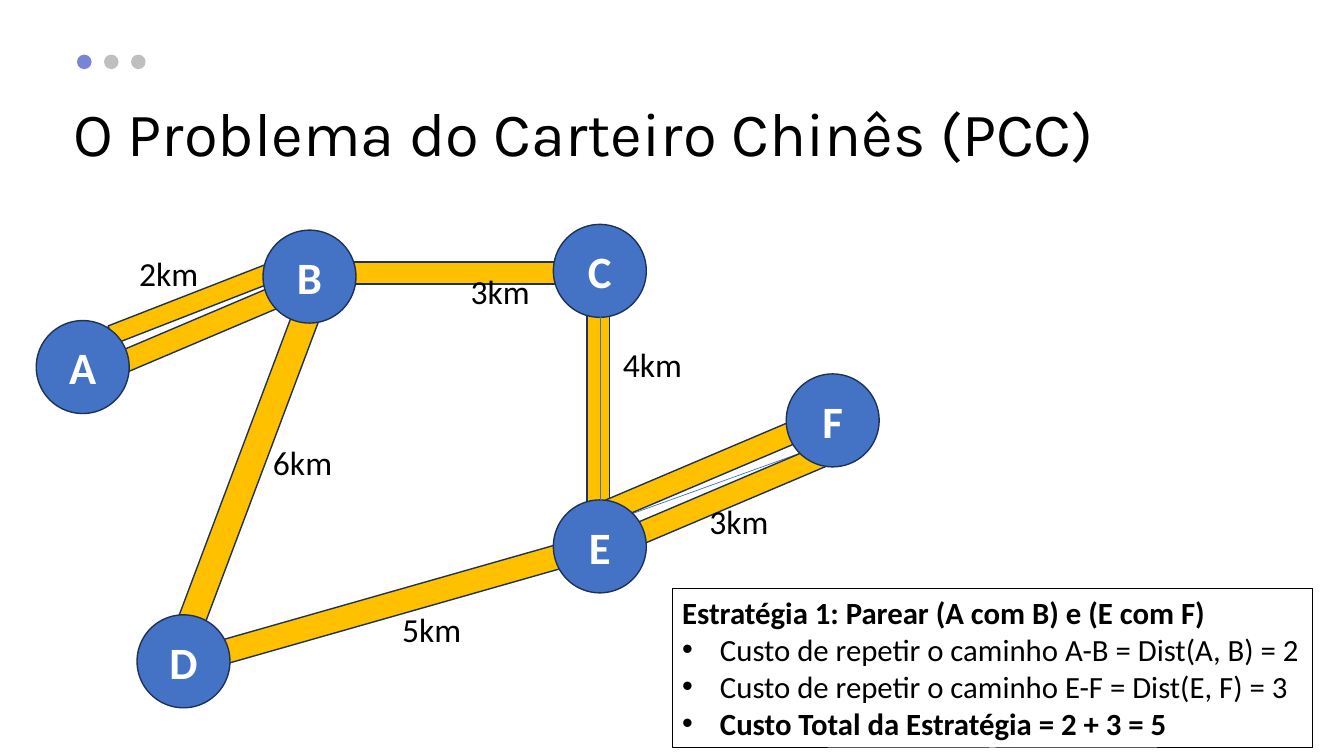
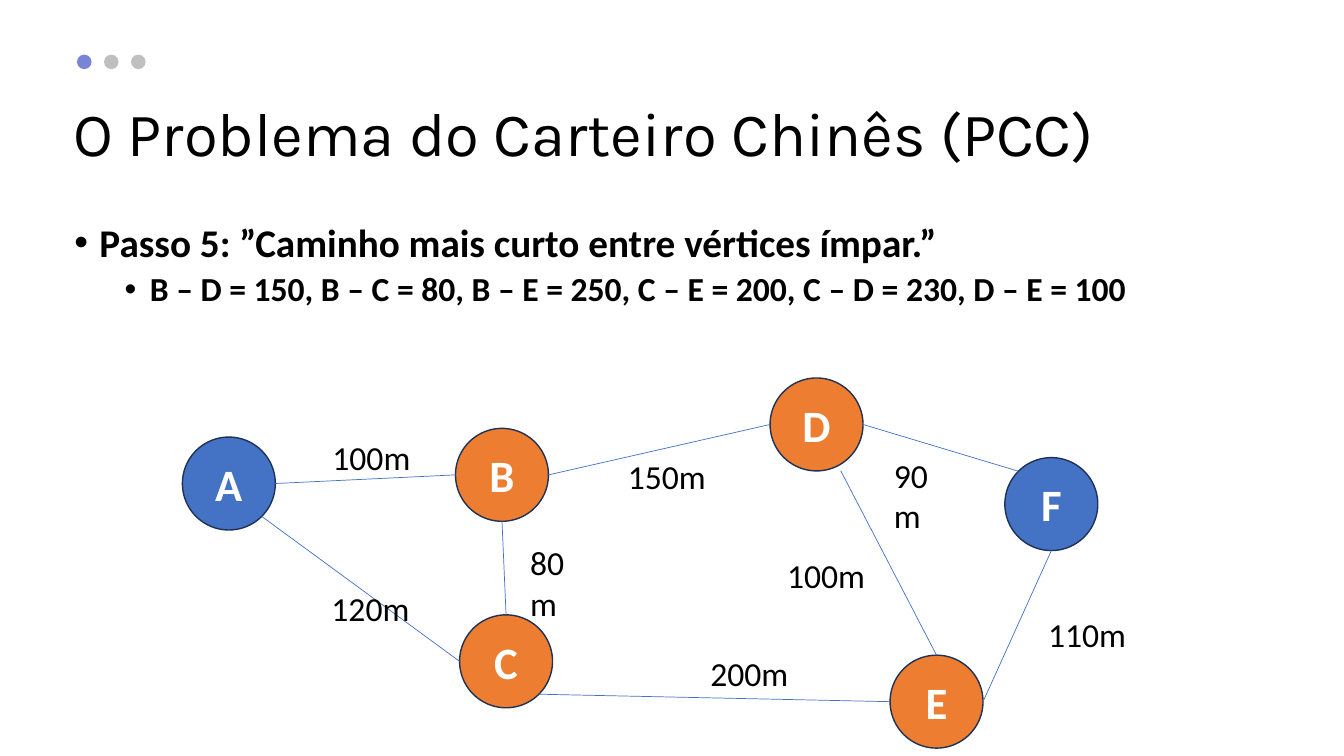
from dataclasses import dataclass
from math import cos, radians, sin

from lxml.etree import SubElement
from pptx import Presentation
from pptx.dml.color import RGBColor as RGB
from pptx.enum.shapes import MSO_CONNECTOR as Conn, MSO_SHAPE as Kind
from pptx.enum.text import MSO_ANCHOR as Anchor, MSO_AUTO_SIZE as Auto, PP_ALIGN as Align
from pptx.oxml.ns import qn
from pptx.util import Pt


@dataclass(frozen=True)
class Theme:
    ink: str = "000000"
    paper: str = "FFFFFF"
    blue: str = "4472C4"
    orange: str = "ED7D31"
    gold: str = "FFC000"
    edge: str = "1E3256"
    accent: str = "7983D7"
    grey: str = "BFBFBF"
    head: str = "Karla"
    text: str = "Calibri"
    title: int = 44
    node: int = 32
    lead: int = 28
    label: int = 24
    note: int = 22


THEME = Theme()
NODE = 66.4
TITLE = "O Problema do Carteiro Chinês (PCC)"


def apply(item, **vals):
    for name, val in vals.items():
        setattr(item, name, val)


def write(para, text, size, color=THEME.ink, face=THEME.text, bold=False, **vals):
    para.text = text
    apply(para, **vals)
    apply(para.font, size=Pt(size), name=face, bold=bold)
    para.font.color.rgb = RGB.from_string(color)


def bullet(para, left, hang):
    props = para._p.get_or_add_pPr()
    props.set("marL", str(Pt(left)))
    props.set("indent", str(-Pt(hang)))
    SubElement(props, qn("a:buFont"), typeface="Arial")
    SubElement(props, qn("a:buChar"), char="•")


def shape(slide, kind, box, fill, line=None, width=1):
    item = slide.shapes.add_shape(kind, *map(Pt, box))
    item.shadow.inherit = False
    item.fill.solid()
    item.fill.fore_color.rgb = RGB.from_string(fill)
    if line:
        item.line.color.rgb = RGB.from_string(line)
        item.line.width = Pt(width)
    else:
        item.line.fill.background()
    return item


def frame(slide, box, **vals):
    """Add a text box and return its text frame."""
    text = slide.shapes.add_textbox(*map(Pt, box)).text_frame
    apply(text, **{"word_wrap": True, **vals})
    return text


def start(deck):
    """Add a slide with the three dots and the title."""
    slide = deck.slides.add_slide(deck.slide_layouts[6])
    for i, color in enumerate((THEME.accent, THEME.grey, THEME.grey)):
        shape(slide, Kind.OVAL, (55 + 19.3 * i, 39, 10.4, 10.4), color)
    text = frame(slide, (45.4, 45.4, 828, 104.4), vertical_anchor=Anchor.MIDDLE)
    write(text.paragraphs[0], TITLE, THEME.title, face=THEME.head, line_spacing=0.9)
    return slide


def node(slide, name, left, top, fill=THEME.blue):
    item = shape(slide, Kind.OVAL, (left, top, NODE, NODE), fill, THEME.edge)
    item.text_frame.vertical_anchor = Anchor.MIDDLE
    write(item.text_frame.paragraphs[0], name, THEME.node, THEME.paper,
          bold=True, alignment=Align.CENTER)
    return item


def dock(item, site):
    """Return a circle's connection site, counted anticlockwise from the top."""
    turn, half = radians(90 + 45 * site), item.width / 2
    return (round(item.left + half + half * cos(turn)),
            round(item.top + half - half * sin(turn)))


def link(slide, tail, out, head, into=None, end=None):
    """Join two circles by site; with end, the line stops loose at that point."""
    stop = tuple(map(Pt, end)) if end else dock(head, into)
    line = slide.shapes.add_connector(Conn.STRAIGHT, *dock(tail, out), *stop)
    line.line.color.rgb = RGB.from_string(THEME.blue)
    line.line.width = Pt(0.5)
    SubElement(line._element.spPr, qn("a:effectLst"))
    joint = line._element.find(".//" + qn("p:cNvCxnSpPr"))
    SubElement(joint, qn("a:stCxn"), id=str(tail.shape_id), idx=str(out))
    if not end:
        SubElement(joint, qn("a:endCxn"), id=str(head.shape_id), idx=str(into))


def road(slide, x, y, turn, long=166.3, thick=15.8):
    """Add a bar centred on x, y and turned by some degrees."""
    box = (x - long / 2, y - thick / 2, long, thick)
    shape(slide, Kind.RECTANGLE, box, THEME.gold, THEME.edge).rotation = turn


def label(slide, text, left, top):
    box = (left, top, 15 + 14 * len(text), 36)
    area = frame(slide, box, word_wrap=False, auto_size=Auto.SHAPE_TO_FIT_TEXT)
    write(area.paragraphs[0], text, THEME.label)


def note(slide, head, lines):
    """Add the framed note; lines holds pairs of text and bold."""
    box = shape(slide, Kind.RECTANGLE, (480.2, 420.5, 457.2, 113.8),
                THEME.paper, THEME.ink, 0.75)
    text = box.text_frame
    apply(text, word_wrap=True, vertical_anchor=Anchor.TOP)
    write(text.paragraphs[0], head, THEME.note, bold=True, alignment=Align.LEFT)
    for line, bold in lines:
        para = text.add_paragraph()
        bullet(para, 27, 27)
        write(para, line, THEME.note, bold=bold, alignment=Align.LEFT)


def pairing(deck):
    slide = start(deck)
    spots = {"A": (25.9, 229), "B": (187.9, 164.4), "C": (395.3, 160.3),
             "D": (97.9, 439.2), "E": (395.3, 357.1), "F": (561.6, 267.1)}
    nodes = {name: node(slide, name, *spot) for name, spot in spots.items()}
    for a, i, b, j in (("A", 7, "B", 2), ("D", 0, "B", 4),
                       ("D", 6, "E", 2), ("E", 7, "F", 3)):
        link(slide, nodes[a], i, nodes[b], j)
    for bar in ((136.4, 217.1, 338.7, 121.7, 13.7), (150.8, 231.8, 337),
                (330.8, 195.1, 0), (427.3, 288.7, 270),
                (512.3, 331.9, 337), (525.2, 352.1, 337),
                (283.3, 430.6, 344.1, 262.8, 17.3),
                (178.6, 332.3, 290.6, 272.2, 19.4)):
        road(slide, *bar)
    for item in nodes.values():  # circles cover the ends of the roads
        item._element.getparent().append(item._element)
    link(slide, nodes["E"], 0, nodes["C"], 4)
    for tag in (("2km", 92.2, 177.1), ("3km", 329, 190.1), ("6km", 187.9, 311.8),
                ("4km", 437.8, 241.9), ("5km", 280.1, 431.3), ("3km", 499.7, 354.2)):
        label(slide, *tag)
    note(slide, "Estratégia 1: Parear (A com B) e (E com F)", (
        ("Custo de repetir o caminho A-B = Dist(A, B) = 2", False),
        ("Custo de repetir o caminho E-F = Dist(E, F) = 3", False),
        ("Custo Total da Estratégia = 2 + 3 = 5", True)))


def shortest(deck):
    slide = start(deck)
    text = frame(slide, (46, 156.2, 828, 92))
    steps = (
        ("Passo 5: ”Caminho mais curto entre vértices ímpar.”", THEME.lead, 18, 0),
        ("B – D = 150, B – C = 80, B – E = 250, C – E = 200, C – D = 230, D – E = 100",
         THEME.label, 54, 5))
    for level, (line, size, left, gap) in enumerate(steps):
        para = text.add_paragraph() if level else text.paragraphs[0]
        bullet(para, left, 18)
        write(para, line, size, bold=True, level=level,
              line_spacing=0.9, space_before=Pt(gap))
    spots = {"A": (130.3, 312.2), "B": (325.4, 306), "C": (328.3, 439.2),
             "D": (550.1, 270), "E": (635.8, 468), "F": (717.8, 326.9)}
    nodes = {name: node(slide, name, *spot, THEME.orange if name in "BCDE" else THEME.blue)
             for name, spot in spots.items()}
    for a, i, b, j in (("A", 6, "B", 2), ("C", 2, "A", 5), ("C", 0, "B", 4),
                       ("D", 2, "B", 6), ("C", 5, "E", 2), ("F", 1, "D", 6),
                       ("E", 6, "F", 4)):
        link(slide, nodes[a], i, nodes[b], j)
    link(slide, nodes["E"], 0, nodes["D"], end=(600.5, 336.2))
    for tag in (("100m", 230.4, 308.9), ("80m", 371.5, 383.8), ("120m", 229.7, 416.2),
                ("200m", 500.4, 463), ("100m", 555.1, 393.1), ("150m", 441.4, 321.8),
                ("90m", 631.4, 321.1), ("110m", 741.6, 434.9)):
        label(slide, *tag)


def main():
    deck = Presentation()
    apply(deck, slide_width=Pt(960), slide_height=Pt(540))
    pairing(deck)
    shortest(deck)
    deck.save("out.pptx")


if __name__ == "__main__":
    main()
